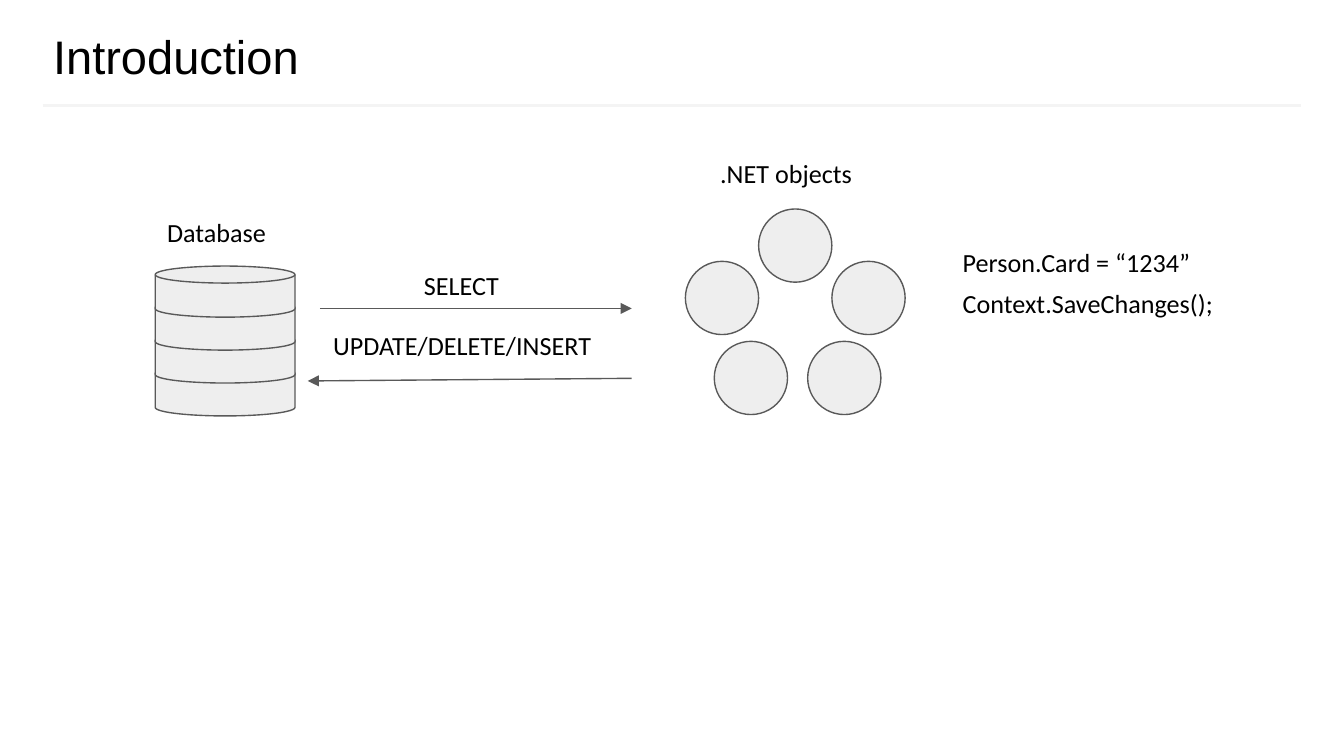
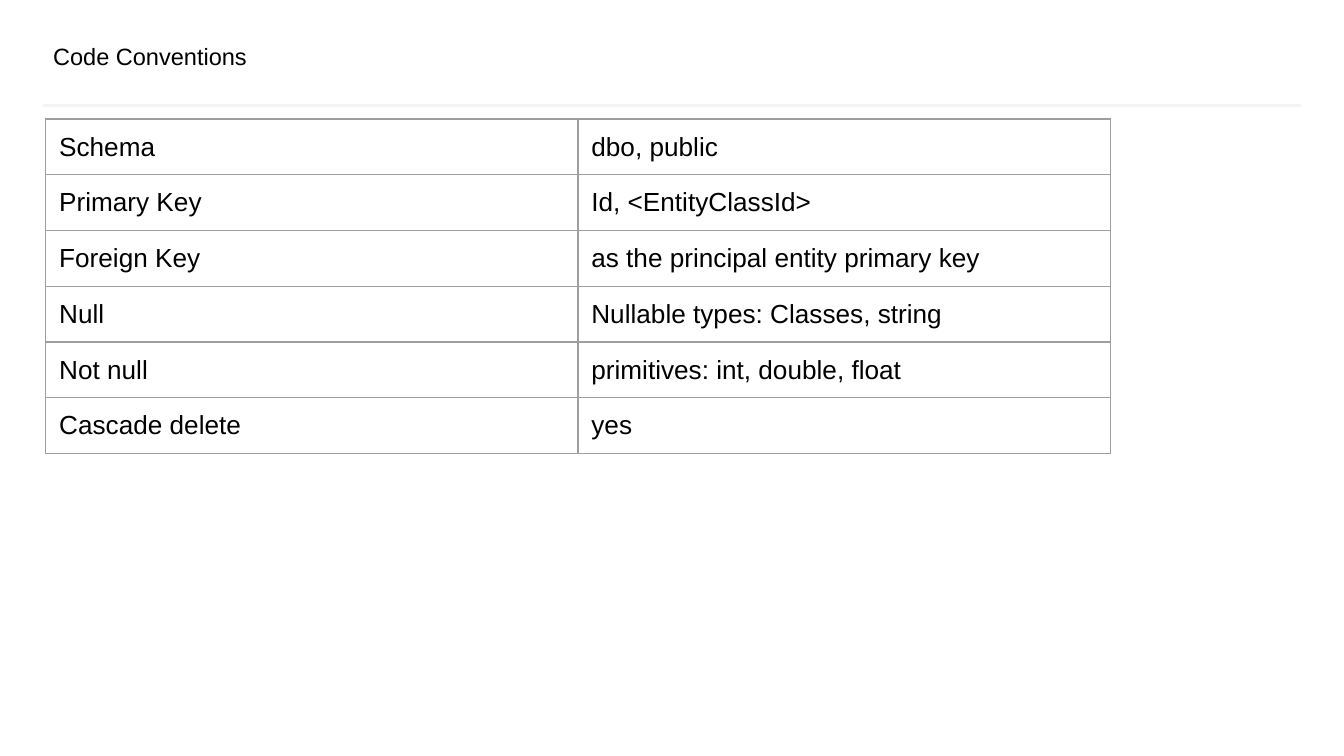
from typing import NamedTuple

from lxml.etree import SubElement
from pptx import Presentation
from pptx.dml.color import RGBColor
from pptx.enum.shapes import MSO_CONNECTOR, MSO_SHAPE
from pptx.enum.text import MSO_ANCHOR
from pptx.oxml.ns import qn
from pptx.presentation import Presentation as Deck
from pptx.slide import Slide
from pptx.text.text import TextFrame
from pptx.util import Emu, Pt

PX = 4572  # 200 px to the inch

BLACK = RGBColor(0x00, 0x00, 0x00)
FILL = RGBColor(0xEE, 0xEE, 0xEE)
EDGE = RGBColor(0x59, 0x59, 0x59)
RULE = RGBColor(0xF4, 0xF4, 0xF4)
GRID = RGBColor(0x9E, 0x9E, 0x9E)

HEAD_FONT = "Arial"
BODY_FONT = "Calibri"
BODY_SIZE = 14
THIN = 0.75
PAD = 20
FOOT = 16  # bottom margin of a cell, leaving room for its border


class Box(NamedTuple):
    left: int
    top: int
    width: int
    height: int


class Label(NamedTuple):
    text: str
    box: Box


class Arrow(NamedTuple):
    start: tuple[int, int]
    end: tuple[int, int]


TITLE = Box(79, 50, 1844, 66)
HEAD_RULE = Arrow((64, 157), (1936, 157))

LABELS = [
    Label("Database", Box(229, 302, 214, 78)),
    Label(".NET objects", Box(1052, 214, 264, 78)),
    Label("SELECT", Box(611, 381, 194, 78)),
    Label("UPDATE/DELETE/INSERT", Box(476, 470, 480, 78)),
    Label("Person.Card = “1234”", Box(1413, 347, 392, 68)),
    Label("Context.SaveChanges();", Box(1413, 408, 434, 78)),
]

ARROWS = [
    Arrow((476, 459), (940, 459)),
    Arrow((940, 563), (458, 567)),
]

DISKS = [Box(231, top, 208, 76) for top in (543, 494, 445, 396)]

BALL = 109
BALLS = [
    Box(left, top, BALL, BALL)
    for left, top in ((1020, 389), (1129, 311), (1063, 508), (1238, 389), (1202, 508))
]

TABLE_LEFT, TABLE_TOP = 68, 177
COL, ROW = 792, 83
RULES = [
    ("Schema", "dbo, public"),
    ("Primary Key", "Id, <EntityClassId>"),
    ("Foreign Key", "as the principal entity primary key"),
    ("Null", "Nullable types: Classes, string"),
    ("Not null", "primitives: int, double, float"),
    ("Cascade delete", "yes"),
]


def px(count: int) -> Emu:
    return Emu(count * PX)


def place(box: Box) -> list[Emu]:
    return [px(side) for side in box]


def write(frame: TextFrame, text: str, font: str, size: float) -> None:
    run = frame.paragraphs[0].add_run()
    run.text = text
    run.font.name = font
    run.font.size = Pt(size)
    run.font.color.rgb = BLACK


def add_text(slide: Slide, label: Label, font: str = BODY_FONT,
             size: float = BODY_SIZE, inset: tuple[int, int] = (PAD, PAD),
             anchor: MSO_ANCHOR = MSO_ANCHOR.TOP) -> None:
    """Add a text box; inset gives the side and the top/bottom margin."""
    frame = slide.shapes.add_textbox(*place(label.box)).text_frame
    frame.word_wrap = True
    frame.vertical_anchor = anchor
    frame.margin_left = frame.margin_right = px(inset[0])
    frame.margin_top = frame.margin_bottom = px(inset[1])
    write(frame, label.text, font, size)


def add_line(slide: Slide, line: Arrow, color: RGBColor, width: float,
             tip: bool = False) -> None:
    points = [px(value) for value in (*line.start, *line.end)]
    link = slide.shapes.add_connector(MSO_CONNECTOR.STRAIGHT, *points)
    link.line.color.rgb = color
    link.line.width = Pt(width)
    if tip:
        stroke = link._element.spPr.find(qn("a:ln"))
        SubElement(stroke, qn("a:tailEnd"), type="triangle")
    SubElement(link._element.spPr, qn("a:effectLst"))


def add_form(slide: Slide, kind: MSO_SHAPE, box: Box) -> None:
    """Add a grey preset shape with a thin edge."""
    form = slide.shapes.add_shape(kind, *place(box))
    form.shadow.inherit = False
    form.fill.solid()
    form.fill.fore_color.rgb = FILL
    form.line.color.rgb = EDGE
    form.line.width = Pt(THIN)


def add_page(deck: Deck, title: str, size: float) -> Slide:
    """Add a slide with the shared rule and title."""
    slide = deck.slides.add_slide(deck.slide_layouts[6])
    add_line(slide, HEAD_RULE, RULE, 1.5)
    add_text(slide, Label(title, TITLE), HEAD_FONT, size, (0, 10), MSO_ANCHOR.MIDDLE)
    return slide


def add_table(slide: Slide) -> None:
    box = Box(TABLE_LEFT, TABLE_TOP, COL * 2, ROW * len(RULES))
    table = slide.shapes.add_table(len(RULES), 2, *place(box)).table
    table.first_row = table.horz_banding = False
    for row, texts in enumerate(RULES):
        for col, text in enumerate(texts):
            cell = table.cell(row, col)
            cell.margin_left = cell.margin_right = cell.margin_top = px(PAD)
            cell.margin_bottom = px(FOOT)
            write(cell.text_frame, text, HEAD_FONT, BODY_SIZE)
            props = cell._tc.get_or_add_tcPr()
            for side in "LRTB":
                edge = SubElement(props, qn(f"a:ln{side}"), w=str(Pt(THIN)))
                paint = SubElement(edge, qn("a:solidFill"))
                SubElement(paint, qn("a:srgbClr"), val=str(GRID))
            cell.fill.background()


def main() -> None:
    deck = Presentation()
    deck.slide_width, deck.slide_height = px(2000), px(1125)

    intro = add_page(deck, "Introduction", 25.2)
    for disk in DISKS:
        add_form(intro, MSO_SHAPE.FLOWCHART_MAGNETIC_DISK, disk)
    for ball in BALLS:
        add_form(intro, MSO_SHAPE.OVAL, ball)
    for arrow in ARROWS:
        add_line(intro, arrow, EDGE, THIN, tip=True)
    for label in LABELS:
        add_text(intro, label)

    add_table(add_page(deck, "Code Conventions", 12.6))
    deck.save("out.pptx")


if __name__ == "__main__":
    main()
